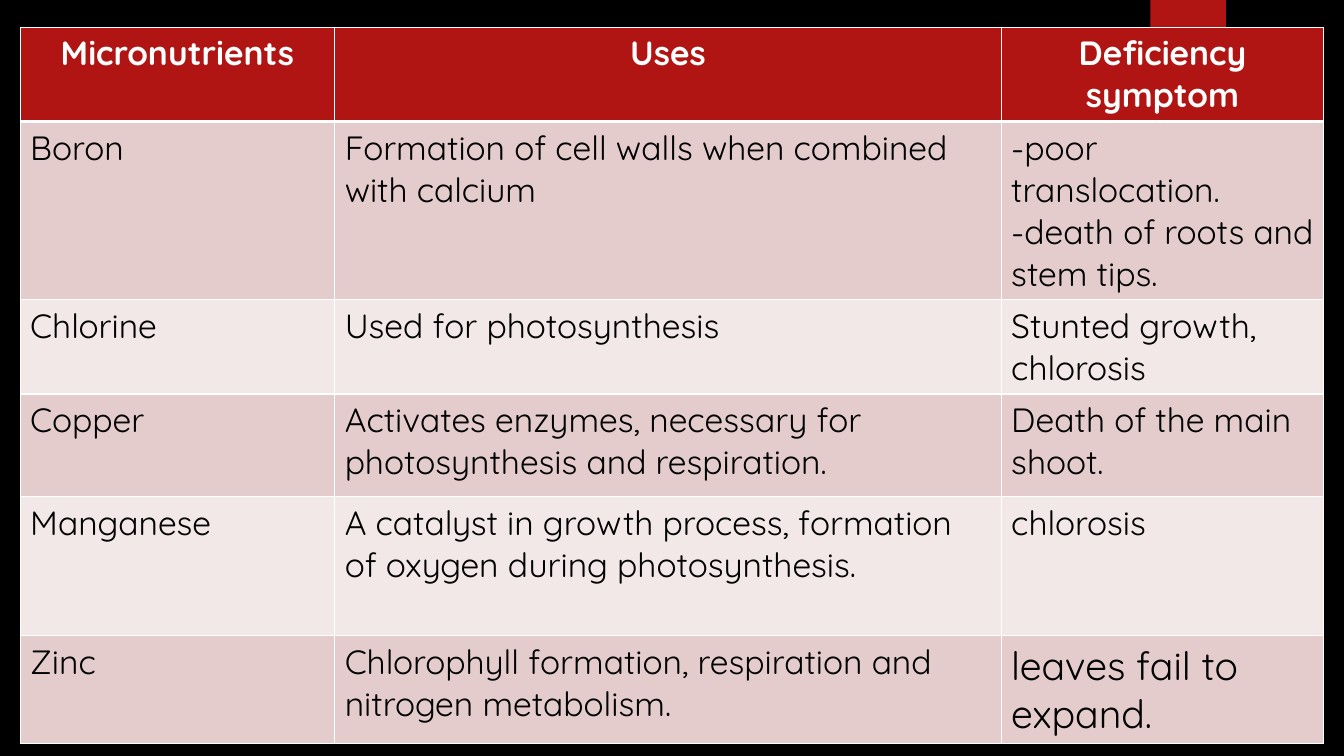
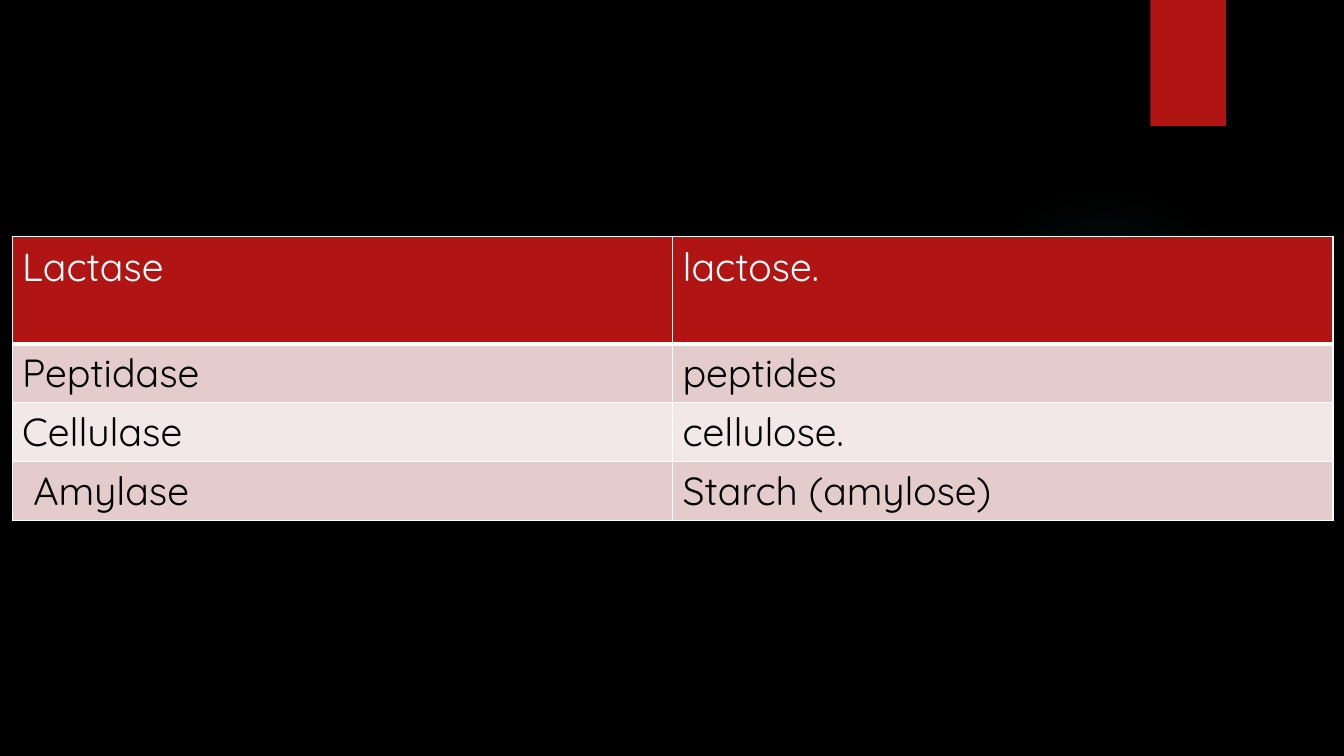
"""Two slides of plant nutrient and enzyme tables."""
from lxml import etree
from pptx import Presentation
from pptx import util as u
from pptx.dml.color import RGBColor
from pptx.enum import shapes, text
from pptx.oxml.ns import qn

FONT = "Quicksand"
RED, BLACK, WHITE, TEAL = "B01513", "000000", "FFFFFF", "50B9C1"
BANDS = ("E4CCCC", "F2E8E7")

NUTRIENTS = [
    ("Micronutrients", "Uses", "Deficiency symptom"),
    ("Boron", "Formation of cell walls when combined with calcium",
     "-poor translocation.\n-death of roots and stem tips."),
    ("Chlorine", "Used for photosynthesis", "Stunted growth, chlorosis"),
    ("Copper", "Activates enzymes, necessary for photosynthesis and respiration.",
     "Death of the main shoot."),
    ("Manganese",
     "A catalyst in growth process, formation of oxygen during photosynthesis.",
     "chlorosis"),
    ("Zinc", "Chlorophyll formation, respiration and nitrogen metabolism.",
     "leaves fail to expand."),
]
ENZYMES = [
    ("Lactase", "lactose."),
    ("Peptidase", "peptides"),
    ("Cellulase", "cellulose."),
    ("Amylase", "Starch (amylose)"),
]


def px(n):
    return u.Emu(n * 9144)


def color(code):
    return RGBColor.from_string(code)


def paint(fill, code):
    fill.solid()
    fill.fore_color.rgb = color(code)


def node(up, tag, **attrs):
    return etree.SubElement(up, qn(tag), attrs)


def shape(slide, kind, box, code):
    item = slide.shapes.add_shape(kind, *map(px, box))
    item.shadow.inherit = False
    item.line.fill.background()
    paint(item.fill, code)
    return item


def glow(item, code, stops):
    props = item.element.spPr
    solid = props.find(qn("a:solidFill"))
    grad = etree.Element(qn("a:gradFill"))
    props.replace(solid, grad)
    row = node(grad, "a:gsLst")
    for pos, alpha in stops:
        stop = node(row, "a:gs", pos=str(pos * 1000))
        tone = node(stop, "a:srgbClr", val=code)
        node(tone, "a:alpha", val=str(alpha * 1000))
    way = node(grad, "a:path", path="circle")
    node(way, "a:fillToRect", **dict.fromkeys("ltrb", "50000"))


def theme(layout, slide):
    paint(layout.background.fill, BLACK)
    kinds = shapes.MSO_SHAPE
    halo = shape(slide, kinds.OVAL, (941, 183, 308, 308), TEAL)
    glow(halo, TEAL, [(0, 7), (36, 6), (69, 0)])
    tab = shape(slide, kinds.RECTANGLE, (1141, 0, 75, 125), RED)
    for num, item in enumerate((halo, tab), 20):
        item.element.nvSpPr.cNvPr.set("id", str(num))
        layout.shapes.element.append(item.element)


def border(cell, row):
    props = cell._tc.get_or_add_tcPr()
    thick = {0: "a:lnB", 1: "a:lnT"}.get(row)
    for tag in ("a:lnL", "a:lnR", "a:lnT", "a:lnB"):
        line = node(props, tag, w=str(u.Pt(3 if tag == thick else 1)))
        node(node(line, "a:solidFill"), "a:srgbClr", val=WHITE)


def style(cell, size, code, bold=False, align=text.PP_ALIGN.LEFT):
    for para in cell.text_frame.paragraphs:
        para.alignment = align
        for run in para.runs:
            font = run.font
            font.name, font.size, font.bold = FONT, u.Pt(size), bold
            font.color.rgb = color(code)


def table(slide, spot, cols, rows, data, size):
    box = (*spot, sum(cols), sum(rows))
    grid = slide.shapes.add_table(len(rows), len(cols), *map(px, box)).table
    for col, width in zip(grid.columns, cols):
        col.width = px(width)
    for r, (high, words) in enumerate(zip(rows, data)):
        grid.rows[r].height = px(high)
        for c, word in enumerate(words):
            cell = grid.cell(r, c)
            cell.text = word
            border(cell, r)
            paint(cell.fill, BANDS[(r - 1) % 2] if r else RED)
            style(cell, size, BLACK if r else WHITE)
    return grid


def main():
    deck = Presentation()
    deck.slide_width, deck.slide_height = px(1333), px(750)
    layout = deck.slide_layouts[6]
    first, second = (deck.slides.add_slide(layout) for _ in range(2))
    theme(layout, first)

    grid = table(first, (20, 27), (312, 661, 320),
                 (93, 177, 93, 102, 138, 106), NUTRIENTS, 24)
    for c in range(3):
        style(grid.cell(0, c), 24, WHITE, True, text.PP_ALIGN.CENTER)
    style(grid.cell(5, 2), 28, BLACK)

    grid = table(second, (12, 235), (655, 655), (106, 58, 58, 58), ENZYMES, 28)
    grid.cell(3, 0).margin_left = px(21)
    deck.save("out.pptx")


if __name__ == "__main__":
    main()
